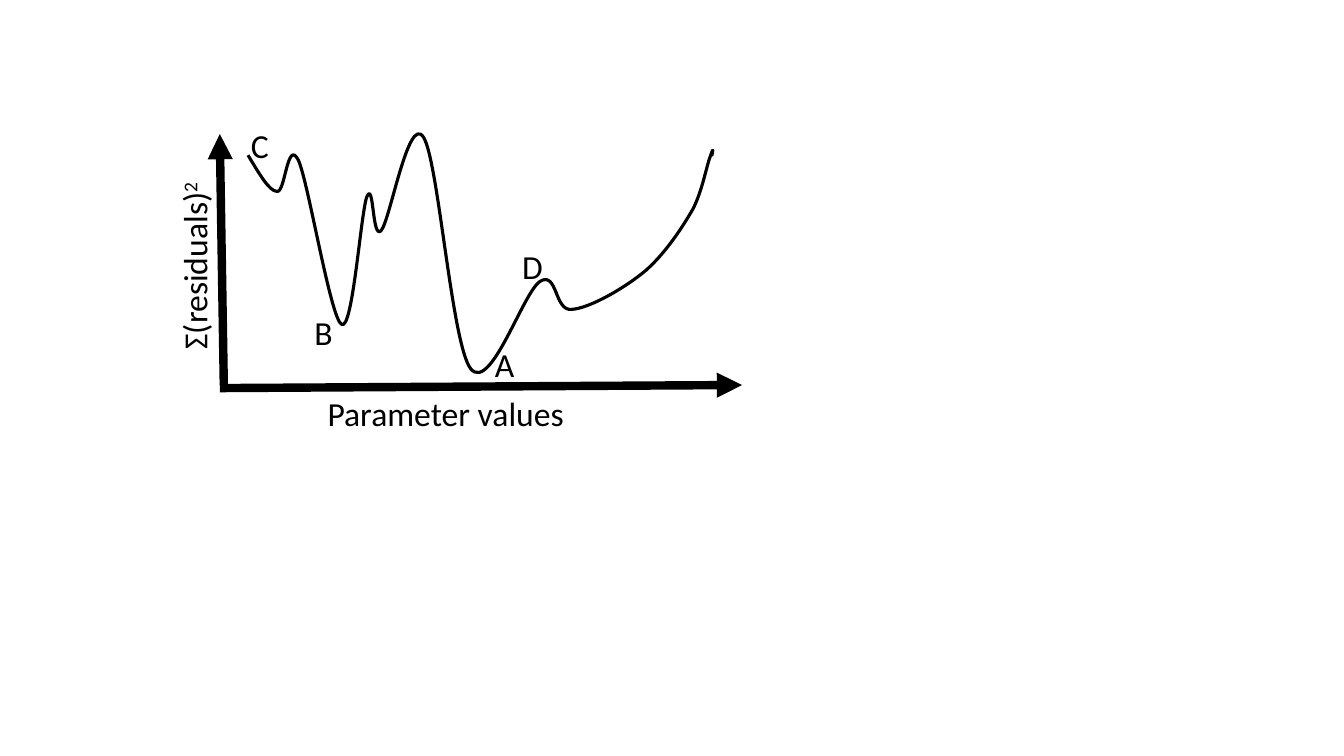
from dataclasses import dataclass

from lxml import etree
from pptx import Presentation
from pptx import util as u
from pptx.dml.color import RGBColor
from pptx.enum import shapes, text
from pptx.oxml.ns import qn


@dataclass(frozen=True)
class Theme:
    """Colours, font, type size and line widths."""
    ink: RGBColor = RGBColor(0, 0, 0)
    font: str = "Calibri"
    size: float = 24
    axis: float = 6
    curve: float = 2.25


PX = u.Inches(0.01)
LABEL_H = 50
AXES = [((222, 382), (218, 133)), ((218, 385), (736, 382))]
LETTERS = {"A": (481, 336), "B": (302, 305), "C": (239, 119), "D": (508, 239)}
CURVE_START = (246, 154)
CURVE = [
    ((257, 172), (267, 190), (275, 190)),
    ((283, 191), (285, 137), (296, 159)),
    ((306, 181), (328, 317), (339, 322)),
    ((350, 328), (358, 210), (364, 195)),
    ((371, 179), (369, 238), (378, 229)),
    ((387, 219), (405, 113), (420, 136)),
    ((435, 159), (448, 342), (467, 366)),
    ((487, 390), (519, 289), (536, 279)),
    ((553, 269), (550, 309), (567, 307)),
    ((585, 306), (621, 285), (641, 268)),
    ((660, 251), (676, 227), (687, 208)),
    ((697, 189), (701, 163), (705, 154)),
    ((708, 145), (707, 150), (706, 155)),
]


class Sketch:
    """Draws styled elements on one slide, with lengths in px."""

    def __init__(self, slide, theme):
        self.shapes, self.theme = slide.shapes, theme

    def stroke(self, sp, width):
        """Give a shape or connector a plain solid line."""
        sp.line.color.rgb = self.theme.ink
        sp.line.width = u.Pt(width)

    def arrow(self, start, end):
        """Draw an axis with an arrowhead at its end."""
        ends = [v * PX for v in (*start, *end)]
        sp = self.shapes.add_connector(shapes.MSO_CONNECTOR.STRAIGHT, *ends)
        self.stroke(sp, self.theme.axis)
        etree.SubElement(sp.line._get_or_add_ln(), qn("a:tailEnd"), type="triangle")
        etree.SubElement(sp._element.spPr, qn("a:effectLst"))

    def curve(self, start, segments):
        """Draw an open line of cubic Bézier segments."""
        anchors = [segment[-1] for segment in segments]
        builder = self.shapes.build_freeform(*start, scale=PX)
        builder.add_line_segments(anchors, close=False)
        sp = builder.convert_to_shape()
        left, top = (min(axis) for axis in zip(start, *anchors))
        for line, segment in zip(list(sp._element.iter(qn("a:lnTo"))), segments):
            bezier = etree.Element(qn("a:cubicBezTo"))
            for x, y in segment:
                etree.SubElement(bezier, qn("a:pt"), x=str(x - left), y=str(y - top))
            line.getparent().replace(line, bezier)
        sp.fill.background()
        sp.shadow.inherit = False
        self.stroke(sp, self.theme.curve)

    def label(self, words, left, top, width, power="", rotation=0):
        """Write a label, with an optional superscript."""
        box = [v * PX for v in (left, top, width, LABEL_H)]
        sp = self.shapes.add_textbox(*box)
        sp.rotation = rotation
        tf = sp.text_frame
        tf.word_wrap = True
        tf.auto_size = text.MSO_AUTO_SIZE.SHAPE_TO_FIT_TEXT
        p = tf.paragraphs[0]
        p.font.name, p.font.size = self.theme.font, u.Pt(self.theme.size)
        p.font.color.rgb = self.theme.ink
        p.add_run().text = words
        if power:
            r = p.add_run()
            r.text = power
            r.font._element.set("baseline", "30000")


def main():
    """Build and save the slide."""
    prs = Presentation()
    prs.slide_width, prs.slide_height = 1333 * PX, 750 * PX
    s = Sketch(prs.slides.add_slide(prs.slide_layouts[6]), Theme())
    for start, end in AXES:
        s.arrow(start, end)
    s.label("Parameter values", 315, 385, 421)
    s.label("Σ(residuals)", 55, 194, 275, power="2", rotation=270)
    s.curve(CURVE_START, CURVE)
    for letter, (left, top) in LETTERS.items():
        s.label(letter, left, top, 48)
    prs.save("out.pptx")


if __name__ == "__main__":
    main()
